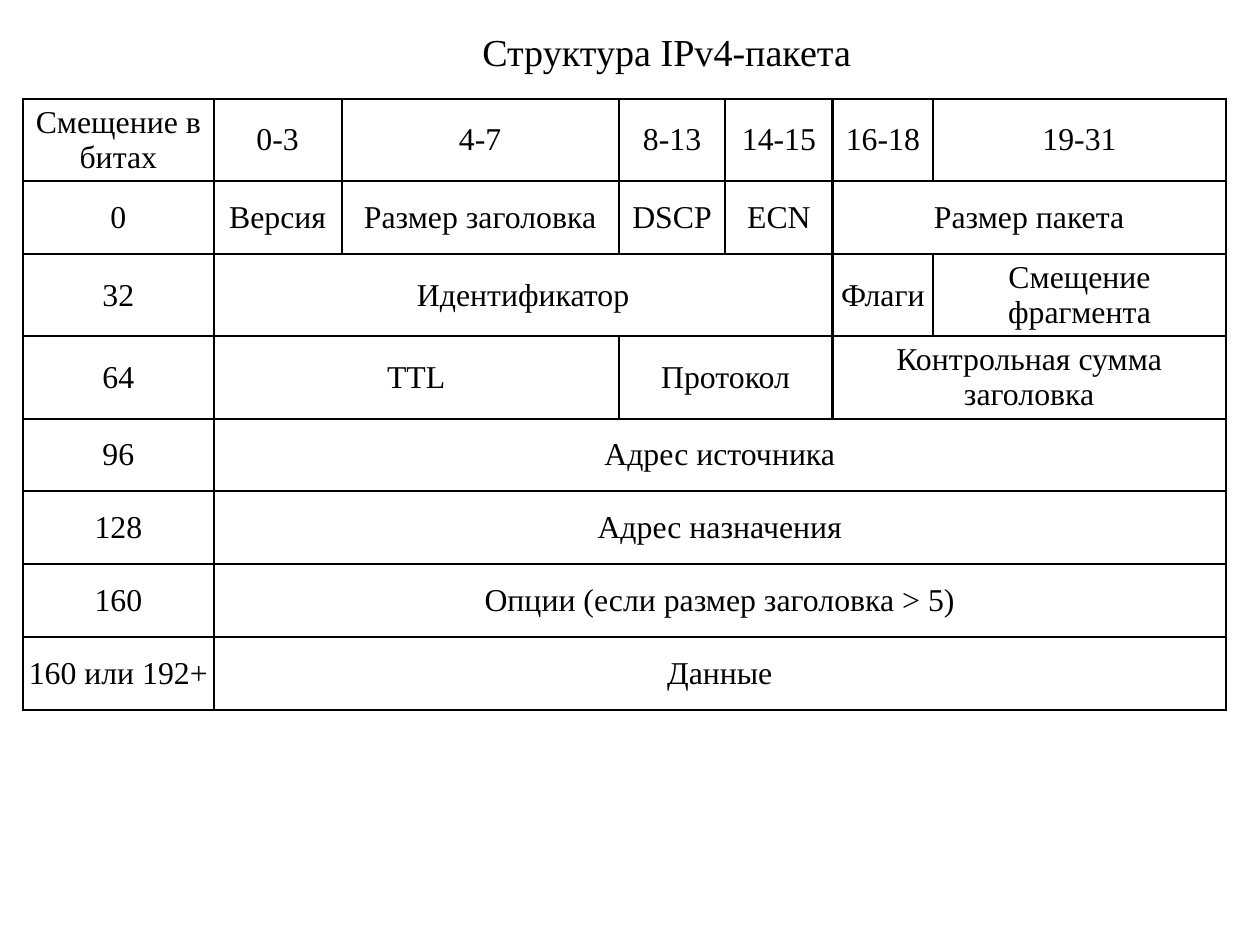
from lxml import etree
from pptx import Presentation
from pptx import util as u
from pptx.dml import color
from pptx.enum import text
from pptx.oxml import ns

FONT = "Times New Roman"
INK = "000000"
PAPER = "FFFFFF"
WIDTHS = [4.24, 2.84, 6.16, 2.37, 2.38, 2.24, 6.5]
HEIGHT = 1.62
ROWS = [
    [("Смещение в битах", 1), ("0-3", 1), ("4-7", 1), ("8-13", 1),
     ("14-15", 1), ("16-18", 1), ("19-31", 1)],
    [("0", 1), ("Версия", 1), ("Размер заголовка", 1), ("DSCP", 1),
     ("ECN", 1), ("Размер пакета", 2)],
    [("32", 1), ("Идентификатор", 4), ("Флаги", 1), ("Смещение фрагмента", 1)],
    [("64", 1), ("TTL", 2), ("Протокол", 2), ("Контрольная сумма заголовка", 2)],
    [("96", 1), ("Адрес источника", 6)],
    [("128", 1), ("Адрес назначения", 6)],
    [("160", 1), ("Опции (если размер заголовка > 5)", 6)],
    [("160 или 192+", 1), ("Данные", 6)],
]


def paint(fill, tone):
    fill.solid()
    fill.fore_color.rgb = color.RGBColor.from_string(tone)


def write(frame, words, size):
    para = frame.paragraphs[0]
    para.alignment = text.PP_ALIGN.CENTER
    para.line_spacing = 1.0
    para.space_before = u.Pt(0)
    run = para.add_run()
    run.text = words
    run.font.name = FONT
    run.font.size = u.Pt(size)
    run.font.bold = False
    paint(run.font.fill, INK)


def border(cell):
    props = cell._tc.get_or_add_tcPr()
    for side in ("a:lnL", "a:lnR", "a:lnT", "a:lnB"):
        line = etree.SubElement(props, ns.qn(side), w=str(u.Pt(1.47)))
        fill = etree.SubElement(line, ns.qn("a:solidFill"))
        etree.SubElement(fill, ns.qn("a:srgbClr"), val=INK)


def add_title(slide, words):
    title = slide.shapes.title
    title.left, title.top = u.Cm(10.46), u.Cm(0.51)
    title.width, title.height = u.Cm(8.71), u.Cm(1.19)
    frame = title.text_frame
    frame.word_wrap = False
    frame.auto_size = text.MSO_AUTO_SIZE.NONE
    frame.vertical_anchor = text.MSO_ANCHOR.TOP
    write(frame, words, 24)


def add_grid(slide, rows):
    shape = slide.shapes.add_table(
        len(rows), len(WIDTHS), u.Cm(0.51), u.Cm(2.2),
        u.Cm(sum(WIDTHS)), u.Cm(HEIGHT * len(rows)))
    table = shape.table
    for col, width in zip(table.columns, WIDTHS):
        col.width = u.Cm(width)
    for row in table.rows:
        row.height = u.Cm(HEIGHT)
    for cell in table.iter_cells():
        border(cell)
        paint(cell.fill, PAPER)
        cell.vertical_anchor = text.MSO_ANCHOR.MIDDLE
        cell.margin_left = cell.margin_right = u.Cm(0.1)
        cell.margin_top = cell.margin_bottom = u.Cm(0.13)
    for y, row in enumerate(rows):
        x = 0
        for words, span in row:
            cell = table.cell(y, x)
            if span > 1:
                cell.merge(table.cell(y, x + span - 1))
            write(cell.text_frame, words, 20)
            x += span


def main():
    deck = Presentation()
    deck.slide_width, deck.slide_height = u.Cm(28), u.Cm(21)
    slide = deck.slides.add_slide(deck.slide_layouts[5])
    paint(slide.background.fill, PAPER)
    add_title(slide, "Структура IPv4-пакета")
    add_grid(slide, ROWS)
    deck.save("out.pptx")


if __name__ == "__main__":
    main()
